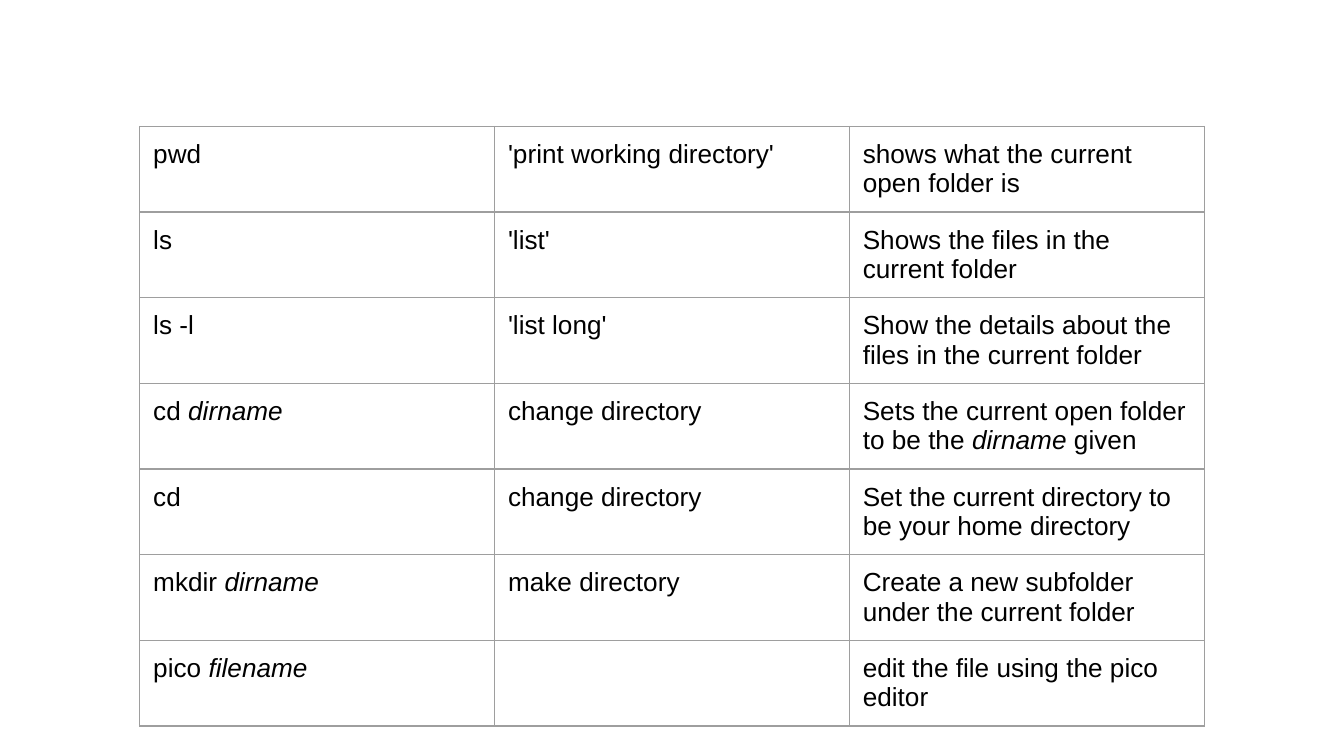
import pptx
import pptx.util
import pptx.dml.color
import pptx.oxml
from pptx.util import Inches, Pt

COLORS = {"text": "000000", "border": "9E9E9E"}
CELL_FORMAT = {
    "margin_left": Inches(0.1),
    "margin_right": Inches(0.1),
    "margin_top": Inches(0.1),
    "margin_bottom": Inches(0.1),
}
FONT_FORMAT = {"name": "Arial", "size": Pt(14), "bold": False}

# Text between asterisks is italic.
COMMANDS = [
    ("pwd", "'print working directory'", "shows what the current open folder is"),
    ("ls", "'list'", "Shows the files in the current folder"),
    ("ls -l", "'list long'", "Show the details about the files in the current folder"),
    ("cd *dirname*", "change directory",
     "Sets the current open folder to be the *dirname* given"),
    ("cd", "change directory", "Set the current directory to be your home directory"),
    ("mkdir *dirname*", "make directory",
     "Create a new subfolder under the current folder"),
    ("pico *filename*", "", "edit the file using the pico editor"),
]
COLUMN_WIDTH = Inches(2.64)
ROW_HEIGHT = Inches(0.42)  # minimum; rows grow to fit two lines


def add_borders(cell):
    properties = cell._tc.get_or_add_tcPr()
    for position, side in enumerate(("lnL", "lnR", "lnT", "lnB")):
        properties.insert(position, pptx.oxml.parse_xml(
            f'<a:{side} xmlns:a="http://schemas.openxmlformats.org/drawingml/2006/main" '
            f'w="{Pt(0.75)}"><a:solidFill><a:srgbClr val="{COLORS["border"]}"/>'
            f'</a:solidFill></a:{side}>'))


presentation = pptx.Presentation()
presentation.slide_width = Inches(10)
presentation.slide_height = Inches(10) * 9 // 16
slide = presentation.slides.add_slide(presentation.slide_layouts[6])

commands = slide.shapes.add_table(
    len(COMMANDS), 3, Inches(1.04), Inches(0.94),
    COLUMN_WIDTH * 3, ROW_HEIGHT * len(COMMANDS)).table
commands.first_row = False
commands.horz_banding = False
for column in commands.columns:
    column.width = COLUMN_WIDTH

for row, texts in zip(commands.rows, COMMANDS):
    row.height = ROW_HEIGHT
    for cell, text in zip(row.cells, texts):
        for attribute, value in CELL_FORMAT.items():
            setattr(cell, attribute, value)
        cell.fill.background()
        add_borders(cell)
        paragraph = cell.text_frame.paragraphs[0]
        for index, part in enumerate(text.split("*")):
            if not part:
                continue
            run = paragraph.add_run()
            run.text = part
            for attribute, value in FONT_FORMAT.items():
                setattr(run.font, attribute, value)
            run.font.italic = index % 2 == 1
            run.font.color.rgb = pptx.dml.color.RGBColor.from_string(COLORS["text"])

presentation.save("out.pptx")
